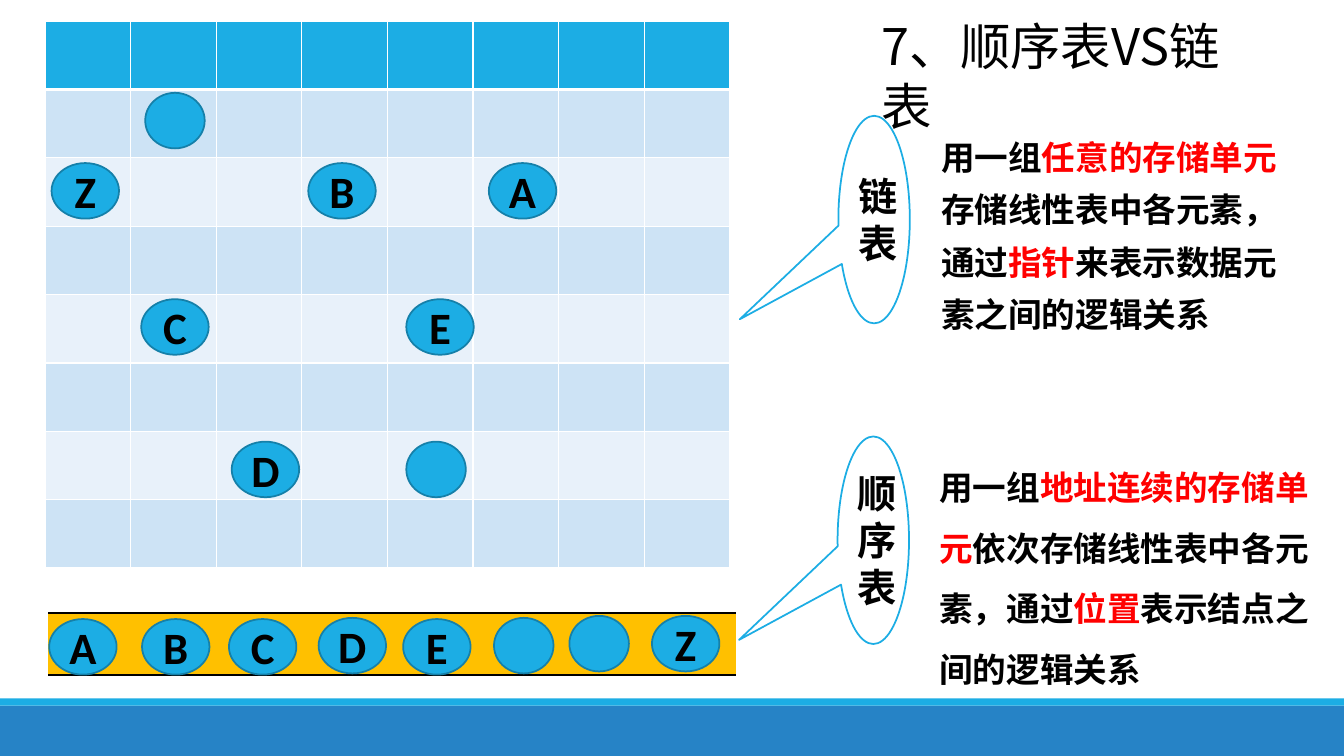
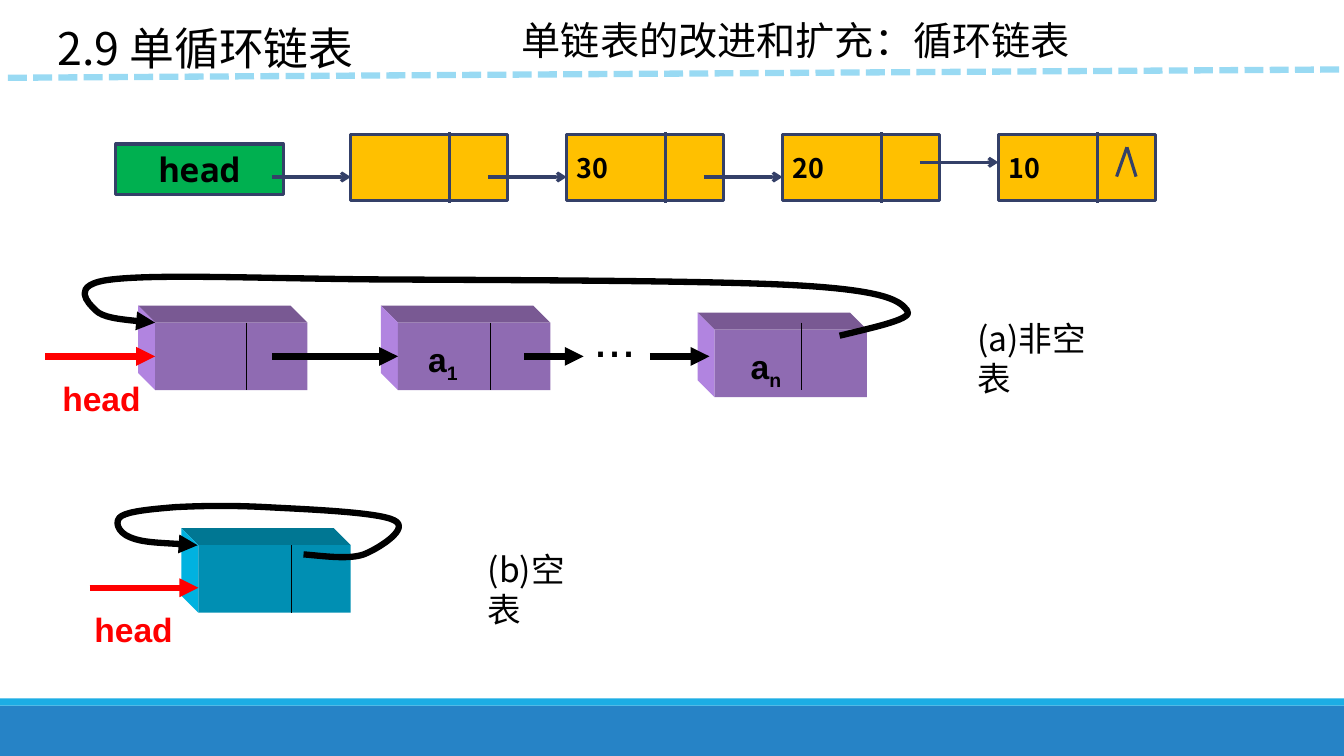
"""Build two slides on sequential, linked and circular lists."""
from dataclasses import dataclass
from typing import NamedTuple, Optional

from lxml import etree
from pptx import Presentation
from pptx import util as u
from pptx.dml.color import RGBColor
from pptx.enum import dml, shapes, text
from pptx.oxml.ns import qn


@dataclass(frozen=True)
class Theme:
    """Colours, fonts and type sizes of the deck."""
    black: str = "000000"
    white: str = "FFFFFF"
    red: str = "FF0000"
    blue: str = "1CADE4"
    blue_edge: str = "1580A9"
    band: str = "2683C6"
    stripe_dark: str = "CDE3F5"
    stripe_light: str = "E8F1FA"
    dash: str = "99DAF3"
    amber: str = "FFC000"
    green: str = "00B050"
    navy: str = "344068"
    cjk: str = "Noto Sans CJK SC"
    latin: str = "Arial"
    letter: str = "Calibri"
    mono: str = "Noto Sans Mono"
    title: float = 36
    section: float = 32
    heading: float = 28
    body: float = 24
    value: float = 19.2
    leading: float = 1.2


T = Theme()


class Box(NamedTuple):
    """Left, top, width and height in centimetres."""
    x: float
    y: float
    w: float
    h: float


class Run(NamedTuple):
    """A stretch of text with its own colour or baseline."""
    text: str
    color: Optional[str] = None
    baseline: int = 0


class Element(NamedTuple):
    """A data element in memory; an empty label means an unnamed one."""
    x: float
    y: float
    label: str = ""


class Explanation(NamedTuple):
    """A named callout with the text that explains it."""
    name: str
    bubble: Box
    body: Box
    spacing: float
    runs: list


class Faces(NamedTuple):
    """Colours of the visible sides of a block."""
    front: str
    top: str
    side: str


class Block(NamedTuple):
    """A solid list node with a divider and an optional subscripted label."""
    x: float
    y: float
    divider_x: float
    divider_y: float
    faces: Faces
    subscript: str = ""
    indent: float = 0


PURPLE = Faces("8F6BB2", "795993", "B184E0")
TEAL = Faces("008FB3", "007793", "00B2E0")
BLOCK_W, BLOCK_H, DEPTH = 3.84, 1.7, 0.43
LETTER_W, BLANK_W, ELEMENT_H = 1.7, 1.5, 1.4

ELEMENTS = [
    Element(1.24, 15.6, "A"), Element(3.58, 15.6, "B"), Element(5.77, 15.6, "C"),
    Element(8.03, 15.57, "D"), Element(10.16, 15.6, "E"), Element(12.45, 15.57),
    Element(14.35, 15.52), Element(16.43, 15.52, "Z"),
    Element(3.66, 2.34), Element(1.3, 4.11, "Z"), Element(7.77, 4.11, "B"),
    Element(12.32, 4.11, "A"), Element(3.56, 7.54, "C"), Element(10.24, 7.54, "E"),
    Element(5.84, 11.13, "D"), Element(10.24, 11.13),
]
EXPLANATIONS = [
    Explanation("链表", Box(21.13, 2.92, 1.8, 5.23), Box(23.47, 3.02, 9.12, 5.46), 1.3, [
        Run("用一组"), Run("任意的存储单元", T.red), Run("存储线性表中各元素，通过"),
        Run("指针", T.red), Run("来表示数据元素之间的逻辑关系")]),
    Explanation("顺序表", Box(21.11, 11, 1.8, 5.23), Box(23.42, 11.13, 10.31, 6.4), 1.5, [
        Run("用一组"), Run("地址连续的存储单元", T.red), Run("依次存储线性表中各元素，通过"),
        Run("位置", T.red), Run("表示结点之间的逻辑关系")]),
]
CHAIN = [
    Block(3.91, 8.13, 6.22, 8.13, PURPLE),
    Block(10.03, 8.13, 12.37, 8.13, PURPLE, "1", 0.76),
    Block(18.01, 8.31, 20.19, 8.13, PURPLE, "n", 0.91),
]
EMPTY_RING = Block(5, 13.74, 7.34, 13.74, TEAL)
CHAIN_RETURN = [
    (21.16, 8.46), (22.1, 8.23), (23.06, 8.03), (22.86, 7.82), (22.68, 7.59),
    (22.38, 7.32), (20.07, 7.19), (17.81, 7.06), (12.17, 7.06), (9.3, 7.04),
    (6.43, 7.01), (3.99, 6.91), (2.84, 7.04), (1.7, 7.16), (2.24, 7.65),
    (2.41, 7.82), (2.59, 8), (3.25, 8.08), (3.91, 8.13),
]
RING_RETURN = [
    (7.65, 13.97), (8.23, 14.02), (8.79, 14.1), (9.17, 13.97), (9.55, 13.82),
    (10.36, 13.31), (9.93, 13.11), (9.53, 12.9), (7.62, 12.83), (6.71, 12.78),
    (5.77, 12.73), (5, 12.75), (4.42, 12.78), (3.81, 12.83), (3.28, 12.88),
    (3.07, 13), (2.87, 13.11), (2.95, 13.41), (3.28, 13.54), (3.58, 13.67),
    (4.29, 13.69), (4.98, 13.74),
]


def rgb(color: str) -> RGBColor:
    """Turn a hex string into a colour."""
    return RGBColor.from_string(color)


def cm(values) -> list:
    """Turn centimetres into lengths."""
    return [u.Cm(value) for value in values]


def write(frame, content, *, size: float, font: str = T.cjk, color: str = T.black,
          bold: bool = False, align=text.PP_ALIGN.LEFT, anchor=text.MSO_ANCHOR.TOP,
          spacing: float = 1, margins=(0.25, 0.13, 0.25, 0.13)) -> None:
    """Fill a text frame with one formatted paragraph."""
    frame.word_wrap = True
    frame.auto_size = text.MSO_AUTO_SIZE.NONE
    frame.vertical_anchor = anchor
    (frame.margin_left, frame.margin_top,
     frame.margin_right, frame.margin_bottom) = cm(margins)
    paragraph = frame.paragraphs[0]
    paragraph.alignment = align
    paragraph.line_spacing = u.Pt(round(size * T.leading * spacing, 1))
    for part in [Run(content)] if isinstance(content, str) else content:
        run = paragraph.add_run()
        run.text = part.text
        run.font.size, run.font.bold, run.font.name = u.Pt(size), bold, font
        run.font.color.rgb = rgb(part.color or color)
        properties = run.font._element
        etree.SubElement(properties, qn("a:ea")).set("typeface", font)
        if part.baseline:
            properties.set("baseline", str(part.baseline * 1000))


def paint(shape, fill: Optional[str], line: Optional[str] = None, width: float = 1.25):
    """Give a shape its fill and outline, without a shadow."""
    shape.shadow.inherit = False
    if fill:
        shape.fill.solid()
        shape.fill.fore_color.rgb = rgb(fill)
    else:
        shape.fill.background()
    if line:
        shape.line.color.rgb = rgb(line)
        shape.line.width = u.Pt(width)
    else:
        shape.line.fill.background()
    return shape


def add_figure(slide, kind, box: Box, fill: str, line: Optional[str] = None,
               width: float = 1.25):
    """Add a painted preset shape."""
    return paint(slide.shapes.add_shape(kind, *cm(box)), fill, line, width)


def add_label(slide, box: Box, content, **style) -> None:
    """Add a text box."""
    write(slide.shapes.add_textbox(*cm(box)).text_frame, content, **style)


def add_arrowhead(shape, kind: str) -> None:
    """Put an arrowhead at the end of a line."""
    etree.SubElement(shape.element.spPr.find(qn("a:ln")), qn("a:tailEnd")).set("type", kind)


def add_line(slide, start, end, color: str, width: float, *, head: str = "",
             dash=None, target=None) -> None:
    """Add a straight line, joined to the left side of a target if given."""
    line = slide.shapes.add_connector(shapes.MSO_CONNECTOR.STRAIGHT, *cm((*start, *end)))
    if target is not None:
        line.end_connect(target, 1)
    line.line.color.rgb = rgb(color)
    line.line.width = u.Pt(width)
    if dash:
        line.line.dash_style = dash
    if head:
        add_arrowhead(line, head)
    etree.SubElement(line.element.spPr, qn("a:effectLst"))


def add_outline(slide, points, closed: bool):
    """Add a freeform through the given points."""
    start, *rest = [tuple(cm(point)) for point in points]
    builder = slide.shapes.build_freeform(*start)
    builder.add_line_segments(rest, close=closed)
    return builder.convert_to_shape()


def add_curve(slide, points) -> None:
    """Add a curved arrow; each three points after the first make one Bezier piece."""
    curve = paint(add_outline(slide, points, False), None, T.black, 4.5)
    track = curve.element.spPr.find(".//" + qn("a:path"))
    steps = track.findall(qn("a:lnTo"))
    for first in range(0, len(steps), 3):
        piece = etree.SubElement(track, qn("a:cubicBezTo"))
        for step in steps[first:first + 3]:
            piece.append(step[0])
            track.remove(step)
    add_arrowhead(curve, "triangle")


def add_memory(slide, box: Box, fills, edges) -> None:
    """Add an empty eight-column table with a fill and edges for each row."""
    table = slide.shapes.add_table(len(fills), 8, *cm(box)).table
    table.first_row = table.horz_banding = False
    style = table._tbl.tblPr.find(qn("a:tableStyleId"))
    style.text = "{2D5ABB26-0587-4C30-8999-92F81FD0307C}"
    for row, fill, sides in zip(table.rows, fills, edges):
        for cell in row.cells:
            properties = cell._tc.get_or_add_tcPr()
            for side, (color, width) in sides.items():
                edge = etree.SubElement(properties, qn(f"a:ln{side}"), w=str(u.Pt(width)))
                solid = etree.SubElement(edge, qn("a:solidFill"))
                etree.SubElement(solid, qn("a:srgbClr"), val=color)
            cell.fill.solid()
            cell.fill.fore_color.rgb = rgb(fill)


def add_block(slide, block: Block):
    """Add a solid node and return its front."""
    x, y, right, bottom = block.x, block.y, block.x + BLOCK_W, block.y + BLOCK_H
    back = (x - DEPTH, y - DEPTH)
    top = [(x, y), (right, y), (right - DEPTH, y - DEPTH), back]
    side = [(x, y), (x, bottom), (x - DEPTH, bottom - DEPTH), back]
    for points, color in ((top, block.faces.top), (side, block.faces.side)):
        paint(add_outline(slide, points, True), color)
    front = add_figure(slide, shapes.MSO_SHAPE.RECTANGLE, Box(x, y, BLOCK_W, BLOCK_H),
                       block.faces.front)
    if block.subscript:
        write(front.text_frame, [Run("a"), Run(block.subscript, baseline=-25)], size=T.body,
              font=T.latin, bold=True, anchor=text.MSO_ANCHOR.MIDDLE,
              margins=(block.indent, 0.53, 0, 0.13))
    add_line(slide, (block.divider_x, block.divider_y),
             (block.divider_x, block.divider_y + BLOCK_H), T.black, 0.75)
    return front


def add_title(slide, box: Box, content: str, size: float) -> None:
    """Place the title in front of the other parts."""
    title = slide.shapes.title
    title.left, title.top, title.width, title.height = cm(box)
    write(title.text_frame, content, size=size)
    slide.shapes.element.append(title.element)


def add_bands(slide, layout) -> None:
    """Put the footer bands on the layout shared by all slides."""
    bands = ((Box(0, 17.78, 33.87, 1.27), T.band), (Box(0, 17.6, 33.87, 0.18), T.blue))
    for number, (box, color) in enumerate(bands, 100):
        band = add_figure(slide, shapes.MSO_SHAPE.RECTANGLE, box, color)
        band.element.nvSpPr.cNvPr.set("id", str(number))
        layout.shapes.element.append(band.element)


def draw_comparison(slide) -> None:
    """Compare sequential and linked storage."""
    rule = (T.black, 2)
    add_memory(slide, Box(1.22, 15.44, 17.32, 1.57), [T.amber], [{"T": rule, "B": rule}])
    thin, thick = (T.white, 1), (T.white, 3)
    edges = [{"L": thin, "R": thin, "T": thick if row == 1 else thin,
              "B": thick if row == 0 else thin} for row in range(8)]
    fills = [T.blue] + [(T.stripe_light, T.stripe_dark)[row % 2] for row in range(1, 8)]
    add_memory(slide, Box(1.14, 0.53, 17.25, 13.79), fills, edges)
    centred = dict(bold=True, align=text.PP_ALIGN.CENTER, anchor=text.MSO_ANCHOR.MIDDLE)
    for element in ELEMENTS:
        width = LETTER_W if element.label else BLANK_W
        oval = add_figure(slide, shapes.MSO_SHAPE.OVAL,
                          Box(element.x, element.y, width, ELEMENT_H), T.blue, T.blue_edge)
        if element.label:
            write(oval.text_frame, element.label, size=T.section, font=T.letter,
                  margins=(0, 0, 0, 0), **centred)
    for item in EXPLANATIONS:
        bubble = add_figure(slide, shapes.MSO_SHAPE.OVAL_CALLOUT, item.bubble, T.white, T.blue)
        bubble.adjustments[0], bubble.adjustments[1] = -1.88, 0.48
        write(bubble.text_frame, item.name, size=T.heading, **centred)
        add_label(slide, item.body, item.runs, size=T.body, bold=True, spacing=item.spacing)
    add_title(slide, Box(21.97, 0.25, 10.2, 3), "7、顺序表VS链表", T.title)


def draw_linked_list(slide) -> None:
    """Draw the plain linked list with its head pointer."""
    pen = (T.navy, 2.25)
    rectangle = shapes.MSO_SHAPE.RECTANGLE
    head = add_figure(slide, rectangle, Box(2.92, 3.63, 4.22, 1.27), T.green, *pen)
    write(head.text_frame, "head", size=T.body, font=T.mono, bold=True,
          align=text.PP_ALIGN.CENTER, anchor=text.MSO_ANCHOR.MIDDLE)
    for index, value in enumerate(("", "30", "20", "10")):
        x = 8.84 + index * 5.44
        node = add_figure(slide, rectangle, Box(x, 3.38, 3.96, 1.68), T.amber, *pen)
        if value:
            write(node.text_frame, value, size=T.value, bold=True,
                  anchor=text.MSO_ANCHOR.MIDDLE)
        add_line(slide, (x + 2.49, 3.33), (x + 2.49, 5.11), *pen)
        y = 4.09 if value == "10" else 4.46
        add_line(slide, (x - 1.98, y), (x, y), *pen, head="arrow")
    for foot in (28.14, 28.63):
        add_line(slide, (28.4, 3.71), (foot, 4.45), *pen)


def draw_circular(slide) -> None:
    """Show the circular list, with elements and empty."""
    add_label(slide, Box(12.9, 0.28, 14.48, 1.45), "单链表的改进和扩充：循环链表", size=T.heading)
    add_label(slide, Box(24.38, 7.87, 3.9, 2.4), "(a)非空表", size=T.body)
    add_label(slide, Box(12.04, 13.69, 3.2, 2.4), "(b)空表", size=T.body)
    first, second, _ = [add_block(slide, block) for block in CHAIN]
    add_block(slide, EMPTY_RING)
    middle = CHAIN[0].y + BLOCK_H / 2
    for start, end, y, color, target in (
            (1.14, 3.91, middle, T.red, first), (6.86, 10.03, middle, T.black, second),
            (13.21, 14.71, middle, T.black, None), (16.38, 17.88, middle, T.black, None),
            (2.26, 5, 14.81, T.red, None)):
        add_line(slide, (start, y), (end, y), color, 4.5, head="triangle", target=target)
    add_label(slide, Box(14.71, 7.62, 1.57, 1.78), "...", size=T.title, font=T.latin)
    for x, y in ((1.32, 9.4), (2.13, 15.21)):
        add_label(slide, Box(x, y, 2.62, 1.3), "head", size=T.body, font=T.latin,
                  color=T.red, bold=True)
    for points in (CHAIN_RETURN, RING_RETURN):
        add_curve(slide, points)
    draw_linked_list(slide)
    add_title(slide, Box(1.19, 0.38, 11, 1.63), "2.9 单循环链表", T.section)
    add_line(slide, (0.2, 1.96), (33.87, 1.75), T.dash, 4.5, dash=dml.MSO_LINE.SQUARE_DOT)


def main() -> None:
    """Build and save the deck."""
    deck = Presentation()
    deck.slide_width, deck.slide_height = u.Cm(33.87), u.Cm(19.05)
    layout = deck.slide_layouts[5]
    comparison, circular = [deck.slides.add_slide(layout) for _ in range(2)]
    add_bands(comparison, layout)
    draw_comparison(comparison)
    draw_circular(circular)
    deck.save("out.pptx")


if __name__ == "__main__":
    main()
